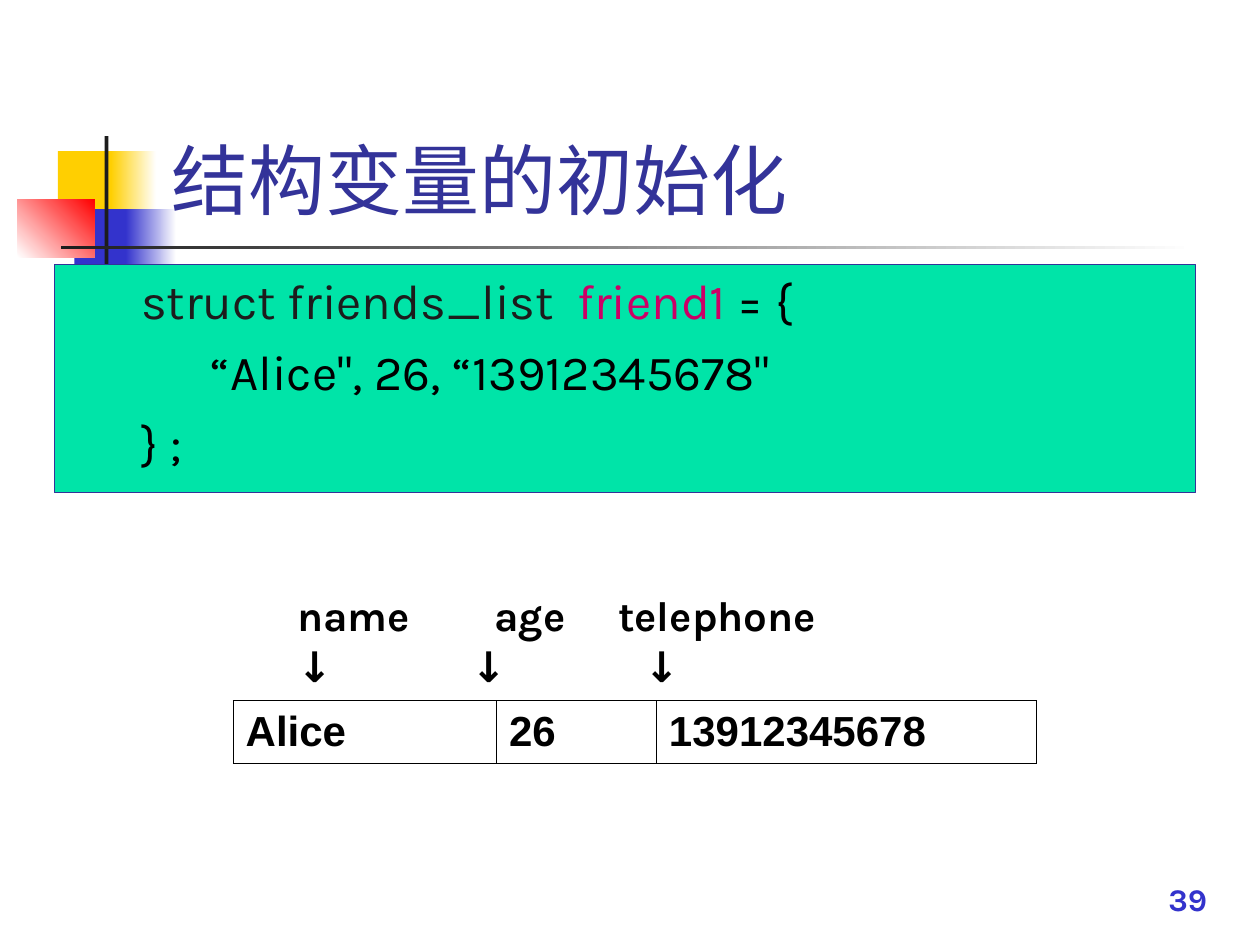
"""Build the slide on initialising a structure variable."""
from lxml.etree import SubElement
from pptx import Presentation
from pptx.dml.color import RGBColor
from pptx.enum.shapes import MSO_SHAPE as Shape
from pptx.enum.text import MSO_ANCHOR as Anchor, PP_ALIGN as Align
from pptx.oxml.ns import qn
from pptx.util import Pt

WHITE = RGBColor(0xFF, 0xFF, 0xFF)
BLACK = RGBColor(0, 0, 0)
CHARCOAL = RGBColor(0x1C, 0x1C, 0x1C)
YELLOW = RGBColor(0xFF, 0xCF, 0x01)
BLUE = RGBColor(0x33, 0x33, 0xCC)
NAVY = RGBColor(0x33, 0x33, 0x99)
RED = RGBColor(0xFF, 0, 0)
GREEN = RGBColor(0, 0xE4, 0xA8)
MAGENTA = RGBColor(0xCC, 0, 0x66)
FONT = "Karla"

DECORATIONS = [
    ((33.1, 86.4, 34.6, 37.4), (YELLOW,), 0),
    ((63.4, 86.4, 25.9, 37.4), (YELLOW, WHITE), 0),
    ((42.5, 119.5, 33.1, 37.4), (BLUE,), 0),
    ((72, 119.5, 28.8, 37.4), (BLUE, WHITE), 0),
    ((10.1, 113.8, 43.9, 33.1), (WHITE, RED), 45),
    ((59.8, 77.8, 2.2, 82.8), (CHARCOAL,), 0),
    ((34.6, 140.4, 648, 2.2), (CHARCOAL, WHITE), 0),
]
TITLE = "结构变量的初始化"
PAGE_NUMBER = "39"
CODE = [
    [(" ", BLACK), ("struct friends_list  ", CHARCOAL), ("friend1", MAGENTA), (" = {", BLACK)],
    [("       “Alice\", 26, “13912345678\"", BLACK)],
    [(" } ;", BLACK)],
]
LABELS = [
    ("name\tage\ttelephone", (112.6, 183.5)),
    ("↓\t↓\t↓", (99.4, 198.3)),
]
VALUES = ["Alice", "26", "13912345678"]
COLUMN_WIDTHS = [150.5, 91.4, 217.4]


def add_run(paragraph, text, size, color, bold=False, font=FONT):
    run = paragraph.add_run()
    run.text = text
    run.font.name = font
    run.font.size = Pt(size)
    run.font.bold = bold
    run.font.color.rgb = color


def add_rectangle(slide, box, colors, angle=0):
    shape = slide.shapes.add_shape(Shape.RECTANGLE, *map(Pt, box))
    shape.shadow.inherit = False
    shape.line.fill.background()
    if len(colors) == 1:
        shape.fill.solid()
        shape.fill.fore_color.rgb = colors[0]
    else:
        shape.fill.gradient()
        shape.fill.gradient_angle = angle
        for stop, color in zip(shape.fill.gradient_stops, colors):
            stop.color.rgb = color
    return shape


def add_text_frame(slide, box, anchor):
    frame = slide.shapes.add_textbox(*map(Pt, box)).text_frame
    frame.word_wrap = True
    frame.vertical_anchor = anchor
    return frame


def paragraphs_for(frame, items):
    for index, item in enumerate(items):
        yield index, frame.add_paragraph() if index else frame.paragraphs[0], item


def add_code(slide):
    shape = add_rectangle(slide, (31, 151.2, 652.3, 130.3), (GREEN,))
    shape.line.color.rgb = NAVY
    shape.line.width = Pt(0.75)
    frame = shape.text_frame
    frame.word_wrap = True
    frame.vertical_anchor = Anchor.TOP
    for index, paragraph, runs in paragraphs_for(frame, CODE):
        paragraph.alignment = Align.LEFT
        paragraph.space_before = Pt(7 if index else 0)
        properties = paragraph._p.get_or_add_pPr()
        properties.set("marL", str(Pt(58.3)))
        properties.set("indent", str(Pt(-22.3)))
        for text, color in runs:
            add_run(paragraph, text, 28, color)


def add_labels(slide):
    frame = add_text_frame(slide, (162.7, 333.4, 348.5, 93.6), Anchor.TOP)
    for _, paragraph, (text, stops) in paragraphs_for(frame, LABELS):
        tabs = SubElement(paragraph._p.get_or_add_pPr(), qn("a:tabLst"))
        for stop in stops:
            SubElement(tabs, qn("a:tab"), pos=str(Pt(stop)), algn="l")
        add_run(paragraph, text, 24, BLACK, True)


def add_borders(cell):
    properties = cell._tc.get_or_add_tcPr()
    for side in ("a:lnL", "a:lnR", "a:lnT", "a:lnB"):
        line = SubElement(properties, qn(side), w=str(Pt(0.45)))
        fill = SubElement(line, qn("a:solidFill"))
        SubElement(fill, qn("a:srgbClr"), val=str(BLACK))


def add_values(slide):
    box = (133.2, 400.3, sum(COLUMN_WIDTHS), 36)
    table = slide.shapes.add_table(1, len(VALUES), *map(Pt, box)).table
    table.first_row = table.horz_banding = False
    for column, width, cell, value in zip(table.columns, COLUMN_WIDTHS, table.iter_cells(), VALUES):
        column.width = Pt(width)
        add_borders(cell)
        cell.fill.background()
        cell.vertical_anchor = Anchor.MIDDLE
        add_run(cell.text_frame.paragraphs[0], value, 24, BLACK, True, "Arial")


def main():
    presentation = Presentation()
    presentation.slide_width, presentation.slide_height = Pt(720), Pt(540)
    slide = presentation.slides.add_slide(presentation.slide_layouts[6])
    for box, colors, angle in DECORATIONS:
        add_rectangle(slide, box, colors, angle)
    title = add_text_frame(slide, (90.7, 16.6, 613.4, 115.2), Anchor.BOTTOM)
    add_run(title.paragraphs[0], TITLE, 44, NAVY)
    number = add_text_frame(slide, (468.7, 491.8, 228.2, 36), Anchor.BOTTOM)
    number.paragraphs[0].alignment = Align.RIGHT
    add_run(number.paragraphs[0], PAGE_NUMBER, 18, BLUE, True)
    add_code(slide)
    add_labels(slide)
    add_values(slide)
    presentation.save("out.pptx")


if __name__ == "__main__":
    main()
